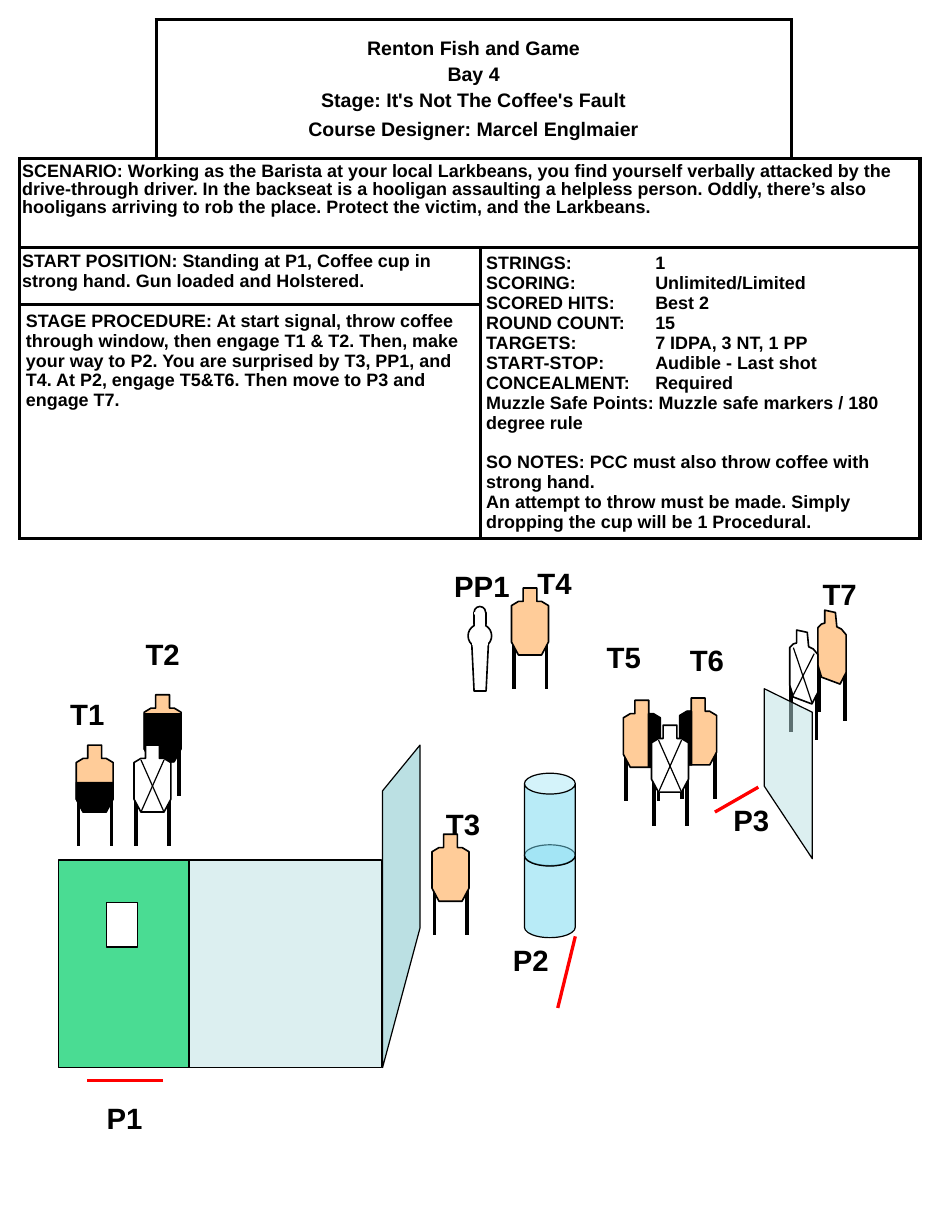
from dataclasses import dataclass
from itertools import product
from typing import NamedTuple

from lxml import etree
from pptx import Presentation
from pptx import util as u
from pptx.dml.color import RGBColor
from pptx.enum import shapes, text
from pptx.oxml.ns import qn

FONT = "Arial"
INK = {"black": "000000", "white": "FFFFFF", "tan": "FFCC99", "red": "FF0000",
       "green": "4ADC93", "glass": "BBE0E3", "water": "73D9F1"}
KIND = shapes.MSO_SHAPE


class Form(NamedTuple):
    edge: list
    legs: list
    cross: list


@dataclass
class Target:
    x: float
    y: float
    form: Form
    fill: str = "tan"
    paint: tuple = ()


@dataclass
class Label:
    words: str
    x: float
    y: float
    wide: float = 1.47


@dataclass
class Part:
    kind: int
    x: float
    y: float
    wide: float
    high: float
    fill: str = "white"
    line: str = "black"
    width: float = 1
    alpha: int = 100


@dataclass
class Panel:
    loops: list
    fill: str
    width: float = 0.75
    alpha: int = 100


@dataclass
class Block:
    first: tuple
    last: tuple
    lines: list
    size: int = 11
    inset: tuple = (0.13, 0.13)
    gaps: tuple = ()
    pitch: float = 1
    mid: bool = False
    stop: float = 0


FRONT = Form([(.25, 0), (.55, 0), (.55, .29), (.65, .29), (.8, .38), (.8, 1.17),
              (.65, 1.45), (.15, 1.45), (0, 1.17), (0, .38), (.15, .29), (.25, .29)],
             [(.05, 1.08, .05, 2.19), (.76, 1.08, .76, 2.19)],
             [(.65, .32, .15, 1.45), (.15, .32, .65, 1.45)])
SIDE = Form([(.38, .05), (.15, 0), (.15, .28), (.08, .3), (0, .38), (0, 1.19),
             (.08, 1.45), (.48, 1.6), (.61, 1.35), (.61, .53), (.51, .41), (.41, .36)],
            [(.58, 1.3, .58, 2.39), (.03, 1.12, .03, 2.21)],
            [(.53, .51, .08, 1.4), (.08, .38, .48, 1.57)])


def lower(top: float) -> list:
    return [(0, top), (.8, top), (.8, 1.15), (.64, 1.45), (.15, 1.45), (0, 1.17)]


RIGHT = [(.54, .29), (.54, 1.45), (.64, 1.45), (.78, 1.17), (.78, .38), (.64, .29)]
LEFT = [(.8 - x, y) for x, y in RIGHT]

TARGETS = [
    Target(3.12, 15.04, FRONT, paint=lower(.41)), Target(1.65, 16.13, FRONT, paint=lower(.81)),
    Target(14.71, 15.11, FRONT, paint=LEFT), Target(13.49, 15.16, FRONT, paint=RIGHT),
    Target(14.1, 15.7, FRONT, "white"), Target(17.7, 13.21, SIDE),
    Target(2.9, 16.13, FRONT, "white"), Target(17.09, 13.64, SIDE, "white"),
    Target(11.07, 12.73, FRONT), Target(9.35, 18.06, FRONT)]

PANELS = [
    Panel([[(1.27, 18.62), (4.09, 18.62), (4.09, 23.11), (1.27, 23.11)],
           [(2.31, 19.53), (2.31, 20.5), (2.97, 20.5), (2.97, 19.53)]], "green", 0),
    Panel([[(9.09, 20.09), (8.28, 23.11), (8.28, 17.12), (9.09, 16.13)]], "glass"),
    Panel([[(16.54, 17.02), (17.58, 18.59), (17.58, 15.42), (16.54, 14.91)]], "glass", alpha=50)]

CONE = Panel([[(10.21, 13.94), (10.57, 13.94), (10.52, 14.96), (10.26, 14.96)]], "white", 1)
HEAD = [Part(KIND.OVAL, 10.26, 13.13, .25, .25), Part(KIND.OVAL, 10.13, 13.51, .51, .51)]
NECK = [Part(KIND.RECTANGLE, 10.26, 13.26, .26, .26),
        Part(KIND.RECTANGLE, 10.22, 13.92, .34, .05, line=""),
        Part(KIND.RECTANGLE, 10.29, 13.51, .19, .04, line="white"),
        Part(KIND.RECTANGLE, 10.28, 13.26, .2, .03, line="white")]
SOLIDS = [Part(KIND.RECTANGLE, 4.09, 18.62, 4.17, 4.49, "glass", width=.75, alpha=50)] + [
    Part(KIND.CAN, 11.35, y, 1.1, 2.01, "water", width=.75, alpha=50) for y in (18.29, 16.74)]

MARKS = [(16.41, 17.04, 15.47, 17.58), (3.53, 23.39, 1.88, 23.39), (12.07, 21.82, 12.45, 20.27)]
LABELS = [Label("P3", 15.62, 17.25), Label("PP1", 9.58, 12.17, 1.85), Label("P1", 2.06, 23.7),
          Label("P2", 10.85, 20.27), Label("T2", 2.9, 13.64), Label("T1", 1.27, 14.94),
          Label("T7", 17.55, 12.34), Label("T4", 11.38, 12.12), Label("T5", 12.88, 13.72),
          Label("T3", 9.4, 17.32), Label("T6", 14.68, 13.77)]

BLOCKS = [
    Block((0, 1), (0, 2), ["Renton Fish and Game", "Bay 4", "Stage: It's Not The Coffee's Fault",
                           "Course Designer: Marcel Englmaier"],
          12, gaps=((1, 2.4), (2, 2.4), (3, 4.2)), mid=True),
    Block((1, 0), (1, 3), ["SCENARIO: Working as the Barista at your local Larkbeans, you find yourself "
                           "verbally attacked by the drive-through driver. In the backseat is a hooligan "
                           "assaulting a helpless person. Oddly, there’s also hooligans arriving to rob "
                           "the place. Protect the victim, and the Larkbeans."],
          inset=(.05, .1), pitch=.9),
    Block((2, 0), (2, 1), ["START POSITION: Standing at P1, Coffee cup in strong hand. "
                           "Gun loaded and Holstered."], inset=(.05, .08)),
    Block((2, 2), (3, 3), ["STRINGS:\t1", "SCORING:\tUnlimited/Limited", "SCORED HITS:\tBest 2",
                           "ROUND COUNT:\t15", "TARGETS:\t7 IDPA, 3 NT, 1 PP",
                           "START-STOP:\tAudible - Last shot", "CONCEALMENT:\tRequired",
                           "Muzzle Safe Points: Muzzle safe markers / 180 degree rule",
                           "SO NOTES: PCC must also throw coffee with strong hand.",
                           "An attempt to throw must be made. Simply dropping the cup "
                           "will be 1 Procedural."],
          gaps=((8, 12),), stop=3.66),
    Block((3, 0), (3, 1), ["STAGE PROCEDURE: At start signal, throw coffee through window, then engage "
                           "T1 & T2. Then, make your way to P2. You are surprised by T3, PP1, and T4. "
                           "At P2, engage T5&T6. Then move to P3 and engage T7."])]


def tint(name: str) -> RGBColor:
    return RGBColor.from_string(INK[name])


def dress(shape, fill: str, line: str, width: float, alpha: int = 100) -> None:
    shape.shadow.inherit = False
    shape.fill.solid()
    shape.fill.fore_color.rgb = tint(fill)
    if alpha < 100:
        tone = shape.element.spPr.find(qn("a:solidFill"))[0]
        etree.SubElement(tone, qn("a:alpha"), val=str(alpha * 1000))
    if line:
        shape.line.color.rgb = tint(line)
        shape.line.width = u.Pt(width)
    else:
        shape.line.fill.background()


def draw_line(slide, ends: tuple, ink: str, width: float) -> None:
    line = slide.shapes.add_connector(shapes.MSO_CONNECTOR.STRAIGHT, *map(u.Cm, ends))
    line.line.color.rgb = tint(ink)
    line.line.width = u.Pt(width)
    etree.SubElement(line.element.spPr, qn("a:effectLst"))


def draw_panel(slide, panel: Panel) -> None:
    loops = [[(u.Cm(x), u.Cm(y)) for x, y in loop] for loop in panel.loops]
    pen = slide.shapes.build_freeform(*loops[0][0])
    for i, loop in enumerate(loops):
        if i:
            pen.move_to(*loop[0])
        pen.add_line_segments(loop[1:], close=True)
    dress(pen.convert_to_shape(), panel.fill, "black", panel.width, panel.alpha)


def draw_part(slide, part: Part) -> None:
    shape = slide.shapes.add_shape(part.kind, *map(u.Cm, (part.x, part.y, part.wide, part.high)))
    if part.kind == KIND.CAN:
        shape.adjustments[0] = .41
    dress(shape, part.fill, part.line, part.width, part.alpha)


def draw_target(slide, t: Target) -> None:
    def shift(ends: tuple) -> tuple:
        return tuple(v + (t.x, t.y)[i % 2] for i, v in enumerate(ends))

    for leg in t.form.legs:
        draw_line(slide, shift(leg), "black", 2.25)
    draw_panel(slide, Panel([[shift(p) for p in t.form.edge]], t.fill, 1))
    if t.paint:
        draw_panel(slide, Panel([[shift(p) for p in t.paint]], "black", 0))
    if t.fill == "white":
        for bar in t.form.cross:
            draw_line(slide, shift(bar), "black", .75)


def style(para, size: int) -> None:
    for run in para.runs:
        run.font.name, run.font.size, run.font.bold = FONT, u.Pt(size), True
        run.font.color.rgb = tint("black")


def draw_label(slide, label: Label) -> None:
    box = slide.shapes.add_textbox(*map(u.Cm, (label.x, label.y, label.wide, 1.02)))
    box.text_frame.word_wrap = True
    box.text_frame.text = label.words
    style(box.text_frame.paragraphs[0], 18)


def frame(cell, sides: str) -> None:
    cell.fill.solid()
    cell.fill.fore_color.rgb = tint("white")
    props = cell._tc.get_or_add_tcPr()
    for i, side in enumerate("LRTB"):
        edge = etree.Element(qn("a:ln" + side), w=str(u.Pt(2.25)))
        if side in sides:
            fill = etree.SubElement(edge, qn("a:solidFill"))
            etree.SubElement(fill, qn("a:srgbClr"), val=INK["black"])
        else:
            etree.SubElement(edge, qn("a:noFill"))
        props.insert(i, edge)


def fill_block(table, block: Block) -> None:
    cell = table.cell(*block.first)
    cell.merge(table.cell(*block.last))
    cell.margin_left = cell.margin_right = u.Cm(block.inset[0])
    cell.margin_top = cell.margin_bottom = u.Cm(block.inset[1])
    cell.vertical_anchor = text.MSO_ANCHOR.MIDDLE if block.mid else text.MSO_ANCHOR.TOP
    cell.text_frame.text = "\n".join(block.lines)
    gaps = dict(block.gaps)
    for i, para in enumerate(cell.text_frame.paragraphs):
        para.alignment = text.PP_ALIGN.CENTER if block.mid else text.PP_ALIGN.LEFT
        para.line_spacing = block.pitch
        if i in gaps:
            para.space_before = u.Pt(gaps[i])
        if "\t" in block.lines[i]:
            tabs = etree.SubElement(para._p.get_or_add_pPr(), qn("a:tabLst"))
            etree.SubElement(tabs, qn("a:tab"), pos=str(u.Cm(block.stop)), algn="l")
        style(para, block.size)


def draw_table(slide) -> None:
    wide, high = (2.95, 7.01, 6.73, 2.79), (3, 1.93, 1.24, 4.83)
    table = slide.shapes.add_table(4, 4, *map(u.Cm, (.43, .43, sum(wide), sum(high)))).table
    table.first_row = table.horz_banding = False
    for col, size in zip(table.columns, wide):
        col.width = u.Cm(size)
    for row, size in zip(table.rows, high):
        row.height = u.Cm(size)
    for spot in product(range(4), range(4)):
        frame(table.cell(*spot), {(0, 0): "RB", (0, 3): "LB"}.get(spot, "LRTB"))
    for block in BLOCKS:
        fill_block(table, block)


def main() -> None:
    deck = Presentation()
    deck.slide_width, deck.slide_height = u.Cm(20.32), u.Cm(26.67)
    slide = deck.slides.add_slide(deck.slide_layouts[6])
    draw_table(slide)
    for group, draw in ((TARGETS, draw_target), (PANELS, draw_panel), (HEAD, draw_part),
                        ([CONE], draw_panel), (NECK + SOLIDS, draw_part), (LABELS, draw_label)):
        for item in group:
            draw(slide, item)
    for mark in MARKS:
        draw_line(slide, mark, "red", 2)
    deck.save("out.pptx")


if __name__ == "__main__":
    main()
